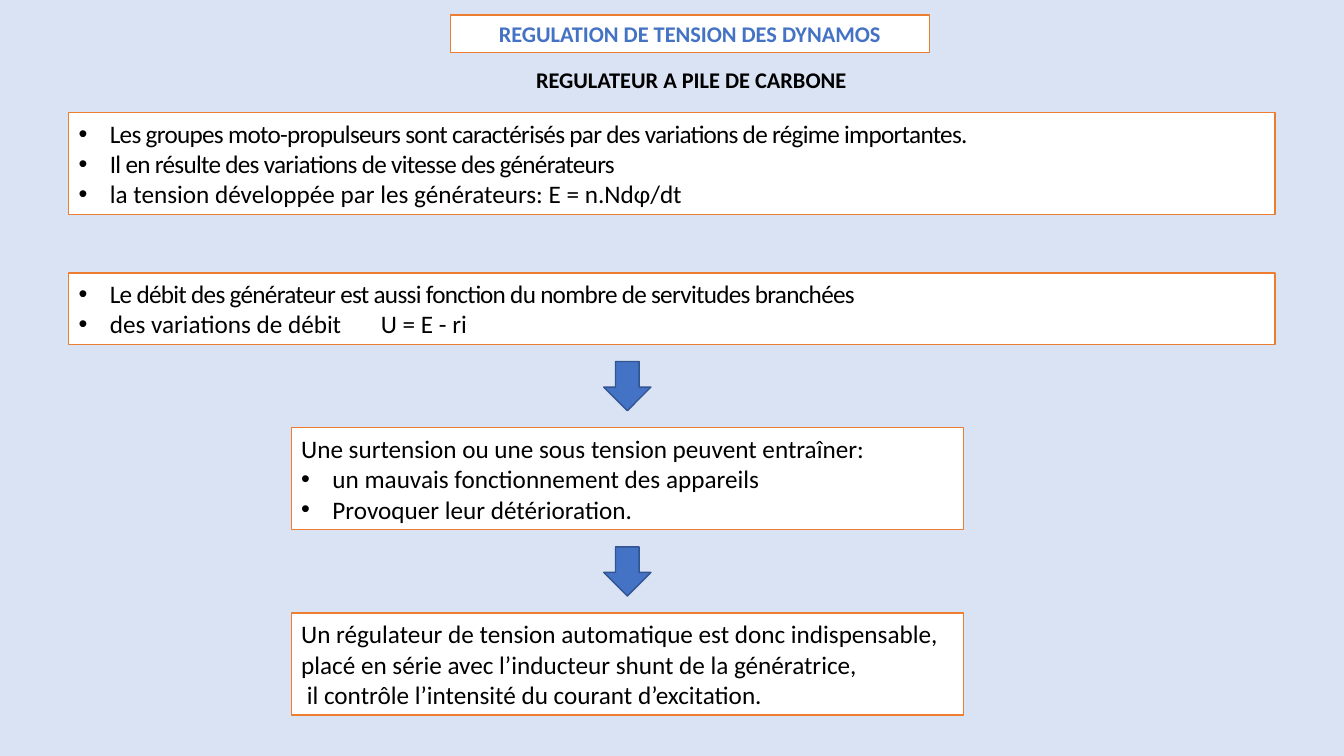
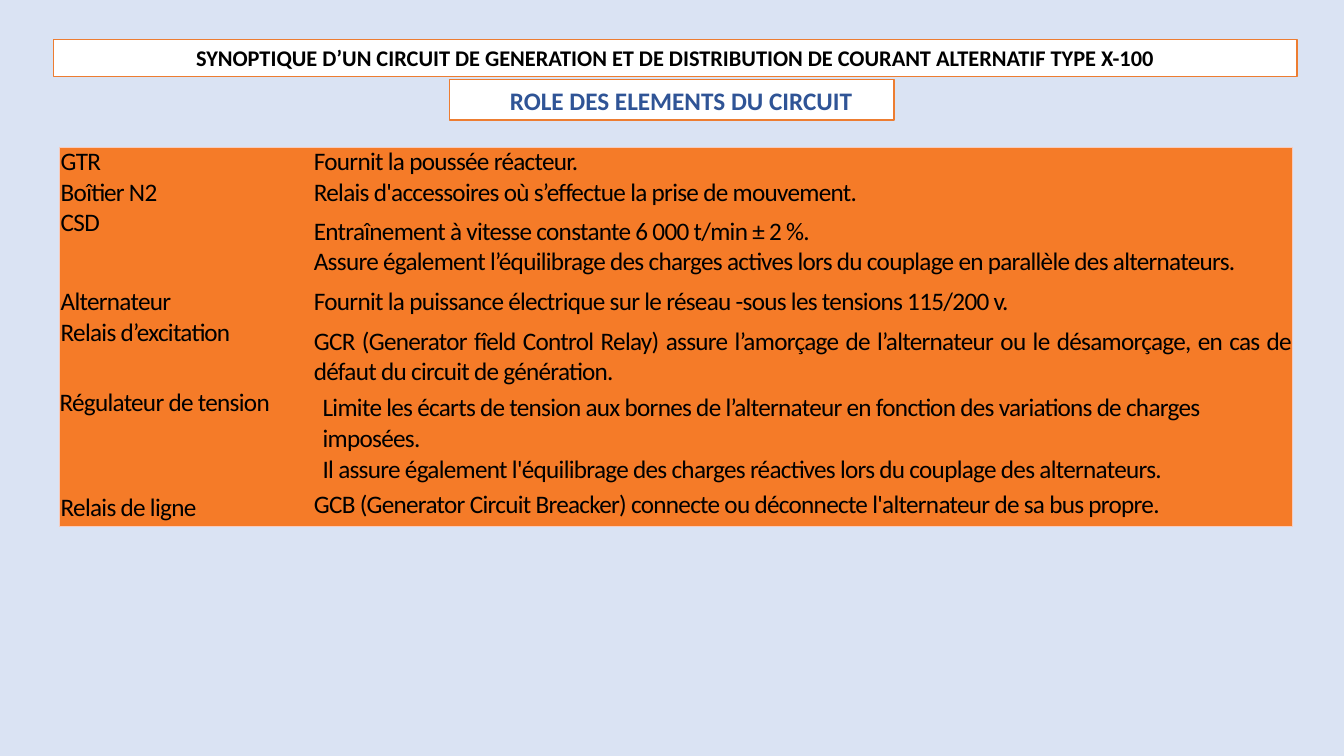
from lxml.etree import SubElement
from pptx import Presentation
from pptx.dml.color import RGBColor
from pptx.enum.shapes import MSO_SHAPE
from pptx.enum.text import MSO_ANCHOR, PP_ALIGN
from pptx.oxml.ns import qn
from pptx.util import Cm, Pt

COLORS = {
    "background": "DAE3F3",
    "white": "FFFFFF",
    "black": "000000",
    "orange": "ED7D31",
    "table": "F57B28",
    "table_edge": "F6CCBE",
    "blue": "4472C4",
    "dark_blue": "2F5496",
    "arrow_edge": "325491",
}
FONT = "Calibri"
TIGHT = -0.5
BULLET_INDENT = Cm(0.79)
SUBTITLE_INDENT = Cm(1.27)
LINE_HEIGHT, BOX_PADDING = 0.77, 0.26
ARROW_WIDTH, ARROW_HEIGHT, ARROW_GAP = 1.19, 1.24, 0.43
PLAIN_TABLE_STYLE = "{2D5ABB26-0587-4C30-8999-92F81FD0307C}"

WIDE_BOX = (1.73, 30.4)
NARROW_BOX = (7.34, 16.94)

SPEED_LINES = [
    ("Les groupes moto-propulseurs sont caractérisés par des variations de régime importantes.",
     {"bullet": True, "spacing": TIGHT}),
    ("Il en résulte des variations de vitesse des générateurs", {"bullet": True, "spacing": TIGHT}),
    ("la tension développée par les générateurs: E = n.Ndφ/dt", {"bullet": True}),
]
LOAD_LINES = [
    ("Le débit des générateur est aussi fonction du nombre de servitudes branchées",
     {"bullet": True, "spacing": TIGHT}),
    ("des variations de débit\tU = E - ri", {"bullet": True, "align": PP_ALIGN.LEFT}),
]
EFFECT_LINES = [
    ("Une surtension ou une sous tension peuvent entraîner:", {}),
    ("un mauvais fonctionnement des appareils", {"bullet": True}),
    ("Provoquer leur détérioration.", {"bullet": True}),
]
REGULATOR_LINES = [
    ("Un régulateur de tension automatique est donc indispensable, ", {}),
    ("placé en série avec l’inducteur shunt de la génératrice,", {}),
    (" il contrôle l’intensité du courant d’excitation.", {}),
]

TOP, MIDDLE, BOTTOM = MSO_ANCHOR.TOP, MSO_ANCHOR.MIDDLE, MSO_ANCHOR.BOTTOM
LEFT, JUSTIFY = PP_ALIGN.LEFT, PP_ALIGN.JUSTIFY
SLIM, NONE, ROOMY = (0.03, 0), (0, 0), (0.25, 0.13)
# Row height, then for each column: paragraphs, anchor, alignment, margins
ROLE_ROWS = [
    (0.77, (["GTR"], TOP, LEFT, SLIM),
     (["Fournit la poussée réacteur."], TOP, JUSTIFY, SLIM)),
    (0.77, (["Boîtier N2"], MIDDLE, LEFT, SLIM),
     (["Relais d'accessoires où s’effectue la prise de mouvement."], MIDDLE, JUSTIFY, SLIM)),
    (1.96, (["CSD"], TOP, LEFT, SLIM),
     (["Entraînement à vitesse constante 6 000 t/min ± 2 %. ",
       "Assure également l’équilibrage des charges actives lors du couplage en parallèle "
       "des alternateurs."], MIDDLE, JUSTIFY, SLIM)),
    (0.79, (["Alternateur"], MIDDLE, LEFT, SLIM),
     (["Fournit la puissance électrique sur le réseau -sous les tensions 115/200 v."],
      MIDDLE, JUSTIFY, SLIM)),
    (1.78, (["Relais d’excitation"], TOP, LEFT, SLIM),
     (["GCR (Generator fîeld Control Relay) assure l’amorçage de l’alternateur ou le "
       "désamorçage, en cas de défaut du circuit de génération."], BOTTOM, JUSTIFY, SLIM)),
    (2.57, (["Régulateur de tension"], TOP, LEFT, NONE),
     (["Limite les écarts de tension aux bornes de l’alternateur en fonction des variations "
       "de charges imposées.",
       "Il assure également l'équilibrage des charges réactives lors du couplage des "
       "alternateurs."], TOP, LEFT, ROOMY)),
    (0.92, (["Relais de ligne"], MIDDLE, LEFT, SLIM),
     (["GCB (Generator Circuit Breacker) connecte ou déconnecte l'alternateur de sa bus "
       "propre."], TOP, LEFT, SLIM)),
]


def color(name):
    return RGBColor.from_string(COLORS[name])


def write_text(paragraph, text, size=18, fill="black", bold=False, align=LEFT,
               indent=0, bullet=False, spacing=0):
    paragraph.alignment = align
    properties = paragraph._p.get_or_add_pPr()
    if bullet:
        properties.set("marL", str(BULLET_INDENT))
        properties.set("indent", str(-BULLET_INDENT))
        SubElement(properties, qn("a:buFont"), typeface="Arial")
        SubElement(properties, qn("a:buChar"), char="•")
    elif indent:
        properties.set("marL", str(indent))
        properties.set("indent", "0")
    run = paragraph.add_run()
    run.text = text
    font = run.font
    font.name, font.size, font.bold = FONT, Pt(size), bold
    font.color.rgb = color(fill)
    if spacing:
        font._element.set("spc", str(int(spacing * 100)))


def write_lines(frame, lines, **shared):
    """Fill a text frame from (text, format) pairs; a line's format wins over the shared one."""
    frame.word_wrap = True
    for number, (text, line_format) in enumerate(lines):
        paragraph = frame.add_paragraph() if number else frame.paragraphs[0]
        write_text(paragraph, text, **{**shared, **line_format})


def add_filled_shape(slide, kind, box, fill, edge):
    shape = slide.shapes.add_shape(kind, *map(Cm, box))
    shape.shadow.inherit = False
    shape.fill.solid()
    shape.fill.fore_color.rgb = color(fill)
    shape.line.color.rgb = color(edge)
    shape.line.width = Pt(1)
    return shape


def add_framed_text(slide, box, lines, **shared):
    shape = add_filled_shape(slide, MSO_SHAPE.RECTANGLE, box, "white", "orange")
    shape.text_frame.vertical_anchor = MIDDLE
    write_lines(shape.text_frame, lines, **shared)


def add_title(slide, box, text, fill):
    add_framed_text(slide, box, [(text, {})], size=16, fill=fill, bold=True,
                    align=PP_ALIGN.CENTER)


def add_statement(slide, span, top, lines):
    """Place a framed statement as tall as its lines and return its bottom edge."""
    left, width = span
    height = len(lines) * LINE_HEIGHT + BOX_PADDING
    add_framed_text(slide, (left, top, width, height), lines, align=JUSTIFY)
    return top + height


def add_step(slide, span, top, lines):
    """Place an arrow under the given edge, then the statement it leads to."""
    left, width = span
    arrow_left = left + (width - ARROW_WIDTH) / 2
    arrow_top = top + ARROW_GAP
    add_filled_shape(slide, MSO_SHAPE.DOWN_ARROW,
                     (arrow_left, arrow_top, ARROW_WIDTH, ARROW_HEIGHT), "blue", "arrow_edge")
    return add_statement(slide, span, arrow_top + ARROW_HEIGHT + ARROW_GAP, lines)


def add_cell_edges(cell, sides):
    properties = cell._tc.get_or_add_tcPr()
    for side in sides:
        line = SubElement(properties, qn(f"a:ln{side}"), w=str(Pt(0.5)))
        fill = SubElement(line, qn("a:solidFill"))
        SubElement(fill, qn("a:srgbClr"), val=COLORS["table_edge"])


def fill_cell(cell, content, edges):
    texts, anchor, align, (side_margin, end_margin) = content
    add_cell_edges(cell, edges)
    cell.fill.solid()
    cell.fill.fore_color.rgb = color("table")
    cell.vertical_anchor = anchor
    cell.margin_left = cell.margin_right = Cm(side_margin)
    cell.margin_top = cell.margin_bottom = Cm(end_margin)
    write_lines(cell.text_frame, [(text, {}) for text in texts], align=align, spacing=TIGHT)


def add_role_table(slide, left, top, column_widths):
    height = sum(row[0] for row in ROLE_ROWS)
    frame = slide.shapes.add_table(len(ROLE_ROWS), len(column_widths), Cm(left), Cm(top),
                                   Cm(sum(column_widths)), Cm(height))
    table = frame.table
    table.first_row = table.horz_banding = False
    table._tbl.tblPr.find(qn("a:tableStyleId")).text = PLAIN_TABLE_STYLE
    for column, width in zip(table.columns, column_widths):
        column.width = Cm(width)
    last_row = len(ROLE_ROWS) - 1
    for row_number, (row_height, *contents) in enumerate(ROLE_ROWS):
        table.rows[row_number].height = Cm(row_height)
        row_edges = ["T"] * (row_number == 0) + ["B"] * (row_number == last_row)
        for column_number, content in enumerate(contents):
            side = "R" if column_number else "L"
            fill_cell(table.cell(row_number, column_number), content, [side] + row_edges)


def add_blank_slide(presentation):
    slide = presentation.slides.add_slide(presentation.slide_layouts[6])
    slide.background.fill.solid()
    slide.background.fill.fore_color.rgb = color("background")
    return slide


def build_regulation_slide(presentation):
    slide = add_blank_slide(presentation)
    add_title(slide, (11.35, 0.38, 12.07, 0.94), "REGULATION DE TENSION DES DYNAMOS", "blue")
    subtitle = slide.shapes.add_textbox(Cm(11.99), Cm(1.55), Cm(10.8), Cm(0.94))
    write_lines(subtitle.text_frame, [("REGULATEUR A PILE DE CARBONE", {})],
                size=16, bold=True, indent=SUBTITLE_INDENT)
    add_statement(slide, WIDE_BOX, 2.84, SPEED_LINES)
    bottom = add_statement(slide, WIDE_BOX, 6.88, LOAD_LINES)
    for lines in (EFFECT_LINES, REGULATOR_LINES):
        bottom = add_step(slide, NARROW_BOX, bottom, lines)


def build_roles_slide(presentation):
    slide = add_blank_slide(presentation)
    add_title(slide, (1.35, 0.99, 31.34, 0.94),
              "SYNOPTIQUE D’UN CIRCUIT DE GENERATION ET DE DISTRIBUTION DE COURANT "
              "ALTERNATIF TYPE X-100", "black")
    add_role_table(slide, 1.5, 3.7, (6.38, 24.69))
    add_framed_text(slide, (11.33, 2.01, 11.2, 1.02), [("ROLE DES ELEMENTS DU CIRCUIT", {})],
                    fill="dark_blue", bold=True, indent=SUBTITLE_INDENT)


def main():
    presentation = Presentation()
    presentation.slide_width, presentation.slide_height = Cm(33.87), Cm(19.05)
    build_regulation_slide(presentation)
    build_roles_slide(presentation)
    presentation.save("out.pptx")


if __name__ == "__main__":
    main()
